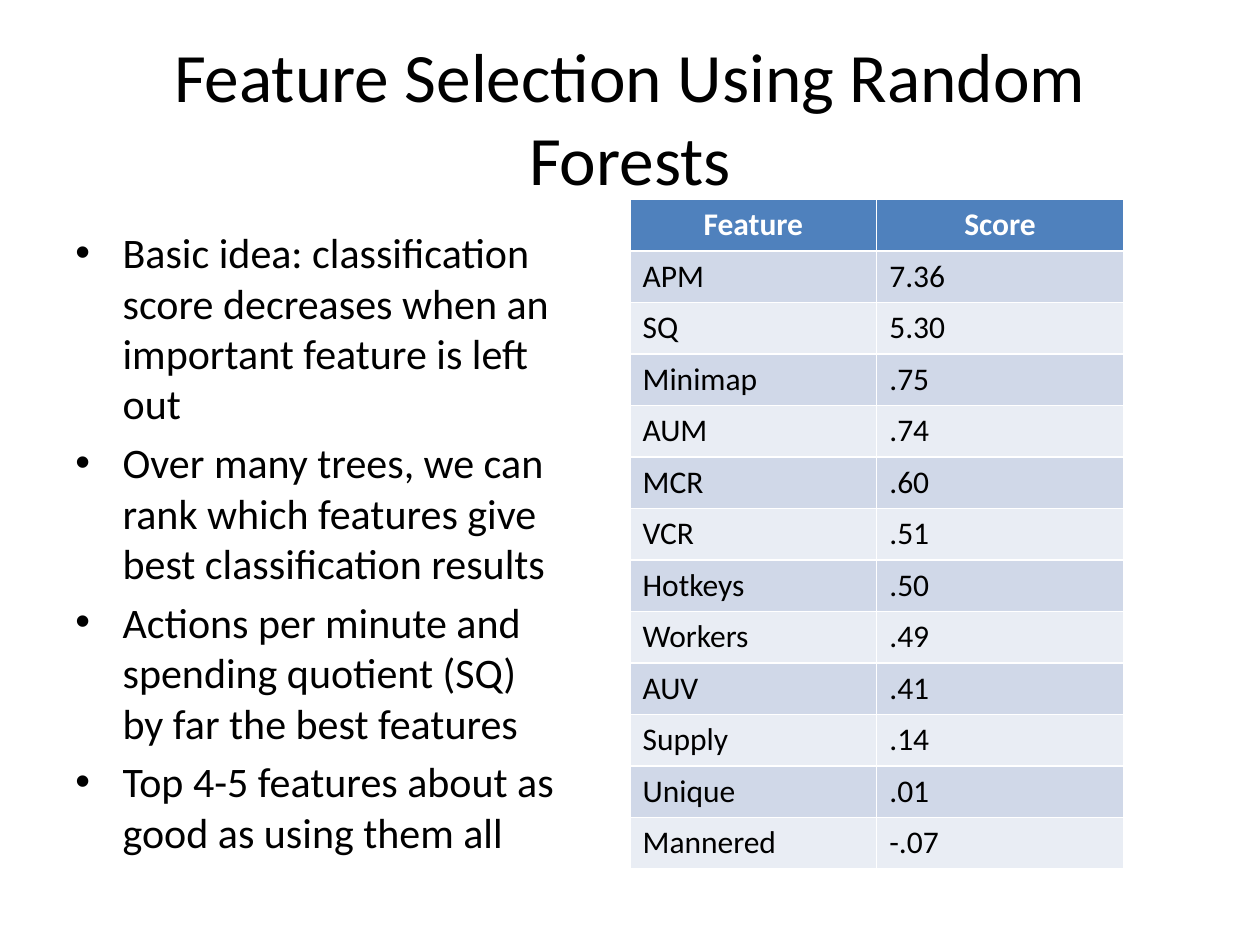
from dataclasses import dataclass

from lxml import etree
from pptx import Presentation
from pptx.dml.color import RGBColor
from pptx.enum.text import MSO_ANCHOR, MSO_AUTO_SIZE, PP_ALIGN
from pptx.oxml.ns import qn
from pptx.util import Pt

CENTER = PP_ALIGN.CENTER
LEFT = PP_ALIGN.LEFT
MIDDLE = MSO_ANCHOR.MIDDLE
NO_FIT = MSO_AUTO_SIZE.NONE
TITLE_ONLY = 5


@dataclass(frozen=True)
class Theme:
    font: str = "Calibri"
    text: RGBColor = RGBColor(0x00, 0x00, 0x00)
    header_text: RGBColor = RGBColor(0xFF, 0xFF, 0xFF)
    header_fill: RGBColor = RGBColor(0x4F, 0x81, 0xBD)
    bands: tuple = (RGBColor(0xD0, 0xD8, 0xE8), RGBColor(0xE9, 0xED, 0xF4))
    title_size: float = 39.6
    body_size: float = 24
    table_size: float = 18


@dataclass(frozen=True)
class Box:
    left: float
    top: float
    width: float
    height: float

    def lengths(self):
        return Pt(self.left), Pt(self.top), Pt(self.width), Pt(self.height)


THEME = Theme()
TITLE = "Feature Selection Using Random Forests"
POINTS = [
    "Basic idea: classification score decreases when an important feature is left out",
    "Over many trees, we can rank which features give best classification results",
    "Actions per minute and spending quotient (SQ) by far the best features",
    "Top 4-5 features about as good as using them all",
]
SCORES = [
    ("Feature", "Score"),
    ("APM", "7.36"),
    ("SQ", "5.30"),
    ("Minimap", ".75"),
    ("AUM", ".74"),
    ("MCR", ".60"),
    ("VCR", ".51"),
    ("Hotkeys", ".50"),
    ("Workers", ".49"),
    ("AUV", ".41"),
    ("Supply", ".14"),
    ("Unique", ".01"),
    ("Mannered", "-.07"),
]


def style_para(para, size, color, align=LEFT, bold=False):
    para.alignment = align
    para.font.name = THEME.font
    para.font.size = Pt(size)
    para.font.color.rgb = color
    para.font.bold = bold


def add_bullet(para, indent):
    properties = para._p.get_or_add_pPr()
    properties.set("marL", str(Pt(indent)))
    properties.set("indent", str(-Pt(indent)))
    bullet_font = etree.Element(qn("a:buFont"), typeface="Arial")
    bullet = etree.Element(qn("a:buChar"), char="•")
    properties.insert_element_before(bullet_font, "a:buChar", "a:defRPr")
    properties.insert_element_before(bullet, "a:defRPr")


def place_title(page, box):
    title = page.shapes.title
    title.left, title.top, title.width, title.height = box.lengths()
    frame = title.text_frame
    frame.text = TITLE
    frame.word_wrap = True
    frame.auto_size = NO_FIT
    frame.vertical_anchor = MIDDLE
    style_para(frame.paragraphs[0], THEME.title_size, THEME.text, CENTER)


def place_points(page, box):
    frame = page.shapes.add_textbox(*box.lengths()).text_frame
    frame.word_wrap = True
    frame.text = "\n".join(POINTS)
    for para in frame.paragraphs:
        style_para(para, THEME.body_size, THEME.text)
        para.space_before = Pt(THEME.body_size * 0.2)
        add_bullet(para, 27)


def place_scores(page, box):
    table = page.shapes.add_table(len(SCORES), len(SCORES[0]), *box.lengths()).table
    for column in table.columns:
        column.width = Pt(box.width / len(SCORES[0]))
    for index, values in enumerate(SCORES):
        table.rows[index].height = Pt(box.height / len(SCORES))
        header = index == 0
        fill = THEME.header_fill if header else THEME.bands[(index - 1) % 2]
        color = THEME.header_text if header else THEME.text
        align = CENTER if header else LEFT
        for cell, value in zip(table.rows[index].cells, values):
            cell.text = value
            cell.fill.solid()
            cell.fill.fore_color.rgb = fill
            style_para(cell.text_frame.paragraphs[0], THEME.table_size, color, align, header)


def main():
    deck = Presentation()
    deck.slide_width, deck.slide_height = Pt(720), Pt(540)
    page = deck.slides.add_slide(deck.slide_layouts[TITLE_ONLY])
    place_title(page, Box(36, 21.6, 648, 90))
    place_points(page, Box(36, 126, 294, 356.4))
    place_scores(page, Box(360, 114, 282, 382.8))
    deck.save("out.pptx")


if __name__ == "__main__":
    main()
